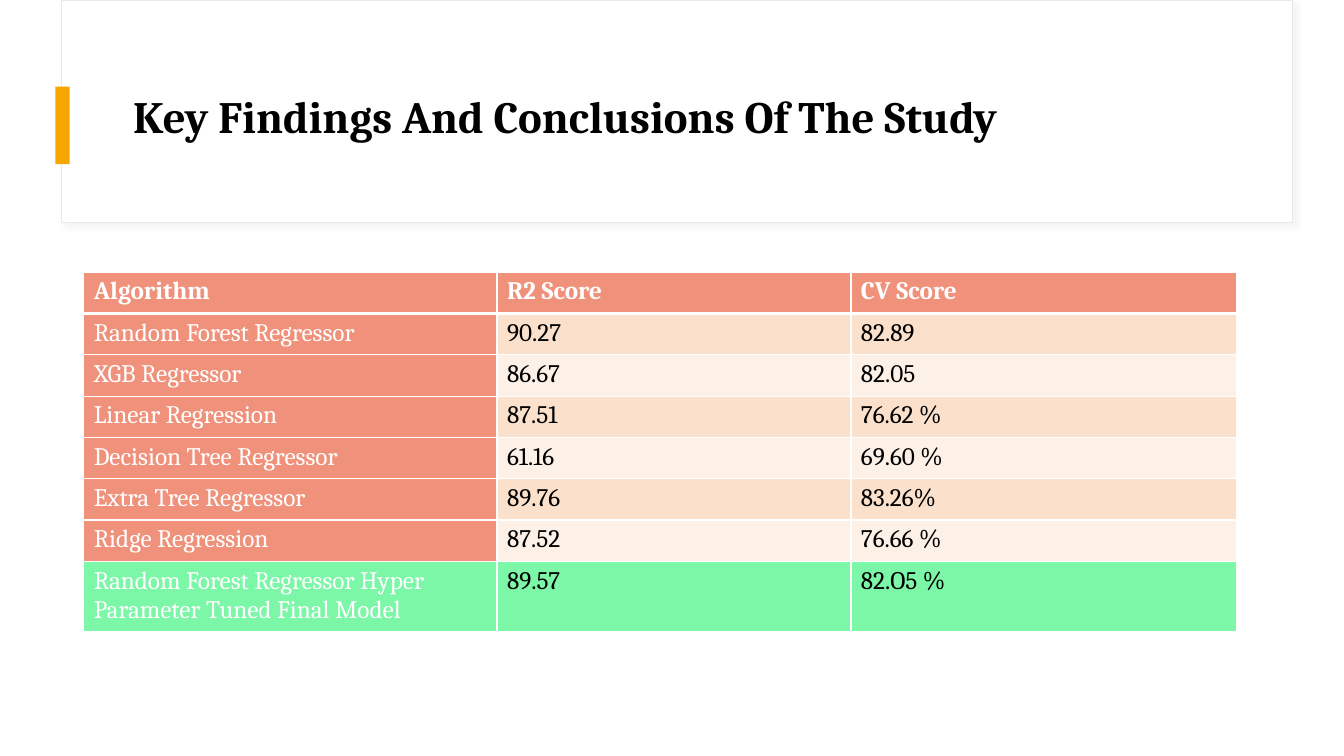
import pptx
import pptx.dml.color
import pptx.enum.shapes
import pptx.enum.text
import pptx.oxml
import pptx.oxml.ns
import pptx.util

Inches, Pt = pptx.util.Inches, pptx.util.Pt
RGBColor = pptx.dml.color.RGBColor

HEADING = "Key Findings And Conclusions Of The Study"
SCORES = [
    ("Algorithm", "R2 Score", "CV Score"),
    ("Random Forest Regressor", "90.27", "82.89"),
    ("XGB Regressor", "86.67", "82.05"),
    ("Linear Regression", "87.51", "76.62 %"),
    ("Decision Tree Regressor", "61.16", "69.60 %"),
    ("Extra Tree Regressor", "89.76", "83.26%"),
    ("Ridge Regression", "87.52", "76.66 %"),
    ("Random Forest Regressor Hyper\nParameter Tuned Final Model", "89.57", "82.O5 %"),
]
COLUMN_WIDTHS = (4.1, 3.51, 3.83)
ROW_HEIGHT, FINAL_ROW_HEIGHT = 0.41, 0.7

FONT = "Cambria"
WHITE = RGBColor(0xFF, 0xFF, 0xFF)
BLACK = RGBColor(0, 0, 0)
PANEL_EDGE = RGBColor(0xE9, 0xE9, 0xE9)
AMBER = RGBColor(0xF5, 0xA7, 0x00)
CORAL = RGBColor(0xF0, 0x91, 0x7B)
PEACH = RGBColor(0xFB, 0xE1, 0xCC)
PALE_PEACH = RGBColor(0xFD, 0xF1, 0xE7)
GREEN = RGBColor(0x7B, 0xF7, 0xA7)

DRAWING_NS = pptx.oxml.ns.nsdecls("a")
PANEL_SHADOW = (
    f'<a:outerShdw {DRAWING_NS} blurRad="{Pt(4)}" dist="{Pt(3)}" dir="2700000">'
    '<a:srgbClr val="D9D9D9"><a:alpha val="30000"/></a:srgbClr></a:outerShdw>'
)


def add_block(slide, left, top, width, height, color):
    block = slide.shapes.add_shape(
        pptx.enum.shapes.MSO_SHAPE.RECTANGLE,
        Inches(left), Inches(top), Inches(width), Inches(height))
    block.shadow.inherit = False
    block.fill.solid()
    block.fill.fore_color.rgb = color
    block.line.fill.background()
    return block


def format_text(frame, color, size, bold):
    for paragraph in frame.paragraphs:
        for run in paragraph.runs:
            for name, value in {"name": FONT, "size": Pt(size), "bold": bold}.items():
                setattr(run.font, name, value)
            run.font.color.rgb = color


def set_borders(cell, bottom_width):
    properties = cell._tc.get_or_add_tcPr()
    widths = {"lnL": 1, "lnR": 1, "lnT": 1, "lnB": bottom_width}
    for position, (side, width) in enumerate(widths.items()):
        properties.insert(position, pptx.oxml.parse_xml(
            f'<a:{side} {DRAWING_NS} w="{Pt(width)}"><a:solidFill>'
            f'<a:srgbClr val="{WHITE}"/></a:solidFill></a:{side}>'))


def cell_fill(row, column):
    if row == len(SCORES) - 1:
        return GREEN
    if row == 0 or column == 0:
        return CORAL
    return PEACH if row % 2 else PALE_PEACH


def add_header(slide):
    panel = add_block(slide, 0.61, 0, 12.21, 2.21, WHITE)
    panel.line.color.rgb = PANEL_EDGE
    panel.line.width = Pt(0.75)
    effects = panel._element.spPr.find(pptx.oxml.ns.qn("a:effectLst"))
    effects.append(pptx.oxml.parse_xml(PANEL_SHADOW))
    add_block(slide, 0.55, 0.86, 0.14, 0.77, AMBER)

    heading = slide.shapes.title
    slide.shapes._spTree.append(heading._element)  # bring in front of the panel
    box = {"left": 1.22, "top": 0.6, "width": 9.16, "height": 1.16}
    for name, value in box.items():
        setattr(heading, name, Inches(value))
    frame = heading.text_frame
    frame.text = HEADING
    frame.word_wrap = True
    frame.auto_size = pptx.enum.text.MSO_AUTO_SIZE.NONE
    frame.vertical_anchor = pptx.enum.text.MSO_ANCHOR.MIDDLE
    frame.paragraphs[0].alignment = pptx.enum.text.PP_ALIGN.LEFT
    frame.paragraphs[0].line_spacing = 0.9
    format_text(frame, BLACK, 32, True)


def add_scores(slide):
    heights = [ROW_HEIGHT] * (len(SCORES) - 1) + [FINAL_ROW_HEIGHT]
    scores = slide.shapes.add_table(
        len(SCORES), len(COLUMN_WIDTHS), Inches(0.83), Inches(2.7),
        Inches(sum(COLUMN_WIDTHS)), Inches(sum(heights))).table
    for column, width in zip(scores.columns, COLUMN_WIDTHS):
        column.width = Inches(width)
    for r, (height, texts) in enumerate(zip(heights, SCORES)):
        scores.rows[r].height = Inches(height)
        for c, text in enumerate(texts):
            cell = scores.cell(r, c)
            cell.text = text
            cell.fill.solid()
            cell.fill.fore_color.rgb = cell_fill(r, c)
            format_text(cell.text_frame, WHITE if r == 0 or c == 0 else BLACK, 18, r == 0)
            set_borders(cell, 3 if r == 0 else 1)


def main():
    deck = pptx.Presentation()
    deck.slide_width, deck.slide_height = Inches(13.33), Inches(7.5)
    slide = deck.slides.add_slide(deck.slide_layouts[5])
    add_header(slide)
    add_scores(slide)
    deck.save("out.pptx")


if __name__ == "__main__":
    main()
